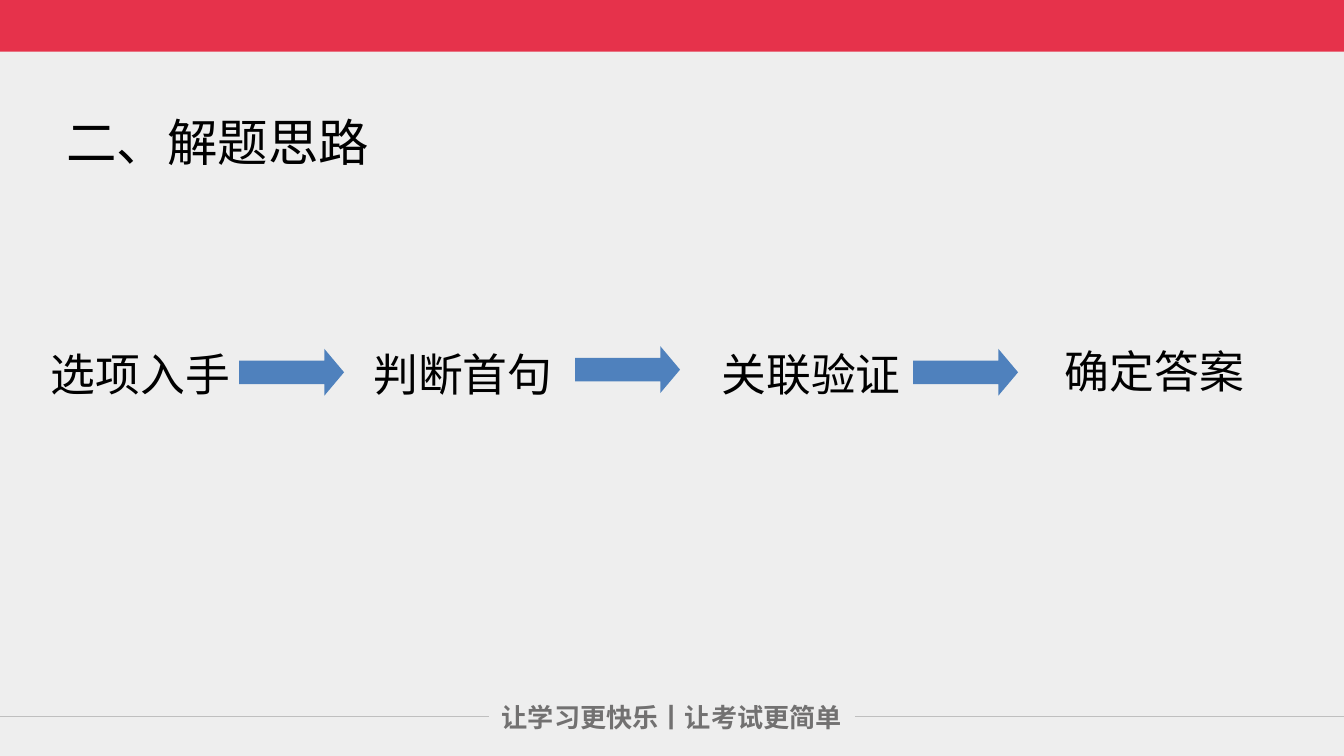
from dataclasses import dataclass

from lxml import etree
from pptx import Presentation
from pptx.dml import color as dml
from pptx.enum import shapes, text
from pptx.oxml import ns
from pptx.util import Pt

SCALE = 4572
SLIDE_W, SLIDE_H = 2000, 1125
SANS_SC = "Noto Sans CJK SC"
SANS_JP = "Noto Sans CJK JP"


@dataclass(frozen=True)
class Box:
    x: int
    y: int
    w: int
    h: int


@dataclass(frozen=True)
class Style:
    size: int
    font: str = SANS_SC
    color: str = "000000"
    bold: bool = False


@dataclass(frozen=True)
class Step:
    label: str
    box: Box
    spacing: float = 1.0


STEP_STYLE = Style(24)
STEPS = [
    Step("选项入手", Box(56, 506, 456, 100)),
    Step("判断首句", Box(536, 474, 346, 132), 1.4),
    Step("关联验证", Box(1054, 506, 340, 100)),
    Step("确定答案", Box(1565, 502, 362, 100)),
]
ARROWS = [Box(x, y, 70, 156) for x, y in ((399, 476), (899, 472), (1402, 476))]
RULES = [(0, 728), (1272, SLIDE_W)]


def px(length: int) -> int:
    return length * SCALE


def rgb(code: str) -> dml.RGBColor:
    return dml.RGBColor.from_string(code)


def place(box: Box) -> tuple[int, int, int, int]:
    return px(box.x), px(box.y), px(box.w), px(box.h)


def draw_shape(slide, kind, box: Box, color: str):
    shape = slide.shapes.add_shape(kind, *place(box))
    shape.shadow.inherit = False
    shape.fill.solid()
    shape.fill.fore_color.rgb = rgb(color)
    shape.line.fill.background()
    return shape


def draw_arrow(slide, box: Box) -> None:
    arrow = draw_shape(slide, shapes.MSO_SHAPE.DOWN_ARROW, box, "4F81BD")
    arrow.adjustments[0] = 0.5
    arrow.adjustments[1] = 0.42
    arrow.rotation = 270


def draw_rule(slide, start: int, end: int, y: int) -> None:
    rule = slide.shapes.add_connector(
        shapes.MSO_CONNECTOR.STRAIGHT, px(start), px(y), px(end), px(y))
    rule.line.color.rgb = rgb("BFBFBF")
    rule.line.width = Pt(0.75)
    etree.SubElement(rule.element.spPr, ns.qn("a:effectLst"))


def write(frame, wording: str, style: Style, anchor, spacing: float = 1.0) -> None:
    frame.word_wrap = True
    frame.auto_size = text.MSO_AUTO_SIZE.NONE
    frame.vertical_anchor = anchor
    paragraph = frame.paragraphs[0]
    paragraph.alignment = text.PP_ALIGN.LEFT
    paragraph.line_spacing = spacing
    run = paragraph.add_run()
    run.text = wording
    run.font.size = Pt(style.size)
    run.font.bold = style.bold
    run.font.color.rgb = rgb(style.color)
    run.font.name = style.font
    east_asian = etree.SubElement(run.font._element, ns.qn("a:ea"))
    east_asian.set("typeface", style.font)


def draw_step(slide, step: Step) -> None:
    label = slide.shapes.add_textbox(*place(step.box))
    write(label.text_frame, step.label, STEP_STYLE,
          text.MSO_ANCHOR.MIDDLE, step.spacing)


def draw_footer(slide) -> None:
    slogan = slide.shapes.add_textbox(*place(Box(727, 1034, 572, 91)))
    write(slogan.text_frame, "让学习更快乐丨让考试更简单",
          Style(14, SANS_JP, "727171", True), text.MSO_ANCHOR.TOP)
    for start, end in RULES:
        draw_rule(slide, start, end, 1066)


def draw_heading(slide) -> None:
    heading = slide.shapes.title
    heading.left, heading.top, heading.width, heading.height = place(
        Box(79, 156, 956, 98))
    write(heading.text_frame, "二、解题思路", Style(27), text.MSO_ANCHOR.TOP)
    slide.shapes._spTree.append(heading.element)


def main() -> None:
    deck = Presentation()
    deck.slide_width, deck.slide_height = px(SLIDE_W), px(SLIDE_H)
    slide = deck.slides.add_slide(deck.slide_layouts[5])
    rectangle = shapes.MSO_SHAPE.RECTANGLE
    draw_shape(slide, rectangle, Box(0, 0, SLIDE_W, SLIDE_H), "EEEEEE")
    draw_shape(slide, rectangle, Box(0, 0, SLIDE_W, 77), "E6324B")
    draw_footer(slide)
    draw_heading(slide)
    for step in STEPS:
        draw_step(slide, step)
    for arrow in ARROWS:
        draw_arrow(slide, arrow)
    deck.save("out.pptx")


if __name__ == "__main__":
    main()
